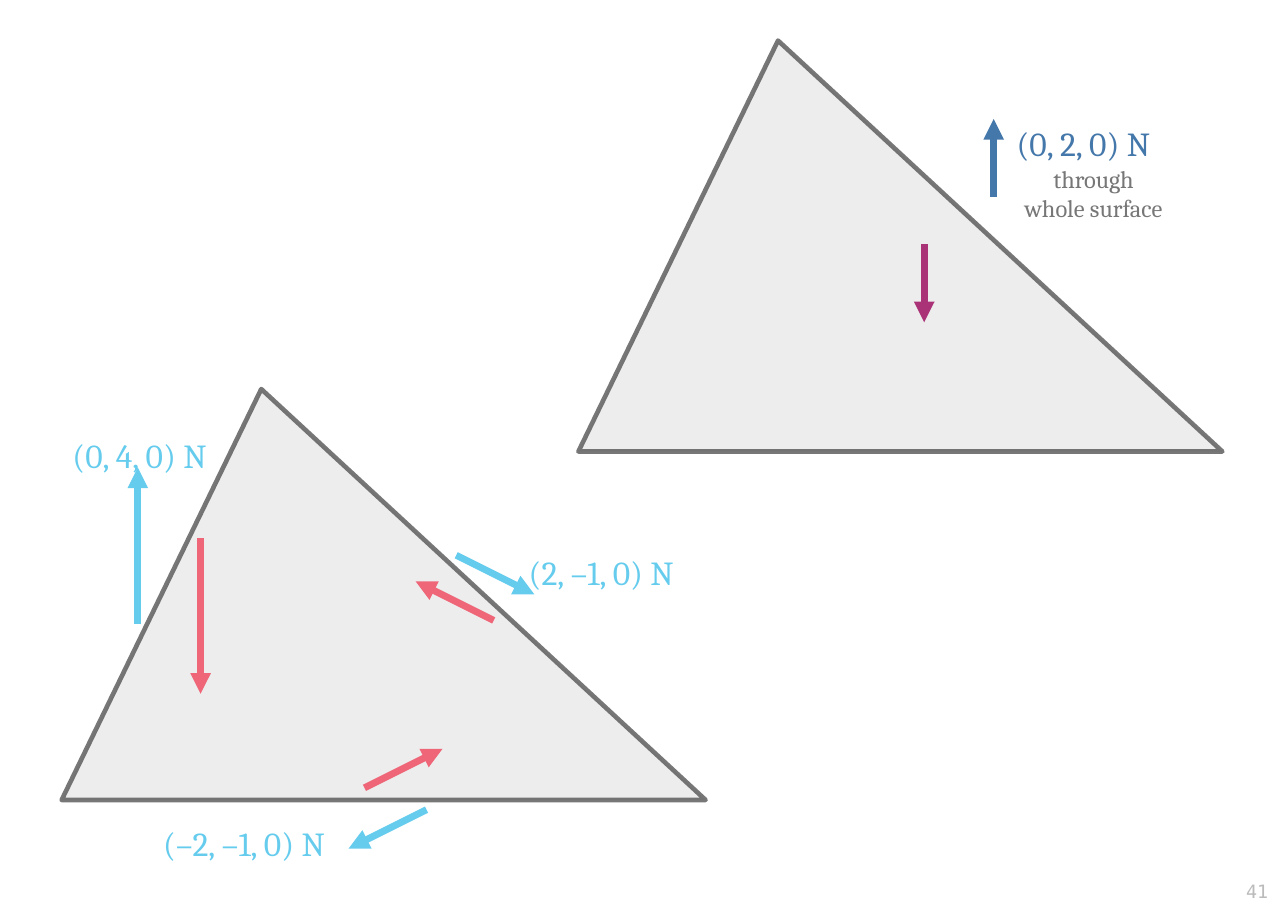
from lxml import etree
from pptx import Presentation, util as u
from pptx.dml.color import RGBColor
from pptx.enum import shapes, text
from pptx.oxml import ns

WIDTH, HEIGHT = u.Inches(11.69), u.Inches(8.27)
CELL = WIDTH / 33  # one grid cell is also the arrow length of 1 N
TRIANGLE_SIZE = (16.5, 10.53)
LABEL_HEIGHT = 1.47

SERIF, MONO = "Cambria", "DejaVu Sans Mono"
CYAN, RED, BLUE, PURPLE = "66CCEE", "EE6677", "4477AA", "AA3377"
EDGE, PALE, GREY = "555555", "BBBBBB", "777777"


def cells(*counts):
    return [round(count * CELL) for count in counts]


def paint(color_format, color):
    color_format.rgb = RGBColor.from_string(color)


def add_child(parent, tag, **attributes):
    return etree.SubElement(parent, ns.qn(tag), **attributes)


def set_alpha(properties, percent):
    color = properties.find(ns.qn("a:solidFill")).find(ns.qn("a:srgbClr"))
    add_child(color, "a:alpha", val=str(percent * 1000))


def add_triangle(slide, left, top):
    shape = slide.shapes.add_shape(
        shapes.MSO_SHAPE.ISOSCELES_TRIANGLE, *cells(left, top, *TRIANGLE_SIZE))
    shape.adjustments[0] = 0.31
    shape.shadow.inherit = False
    shape.fill.solid()
    paint(shape.fill.fore_color, PALE)
    set_alpha(shape._element.spPr, 25)
    shape.line.width = u.Pt(3)
    paint(shape.line.color, EDGE)
    outline = shape.line._get_or_add_ln()
    set_alpha(outline, 80)
    add_child(outline, "a:round")


def add_force(slide, left, top, force, color):
    """Draw a force in newtons as an arrow that starts at the given grid point."""
    x, y = force
    connector = slide.shapes.add_connector(
        shapes.MSO_CONNECTOR.STRAIGHT, *cells(left, top, left + x, top - y))
    connector.line.width = u.Pt(4.5)
    paint(connector.line.color, color)
    add_child(connector.line._get_or_add_ln(), "a:tailEnd", type="triangle")
    add_child(connector._element.spPr, "a:effectLst")


def add_text(slide, box, content, size, color, font=SERIF,
             align=text.PP_ALIGN.LEFT, wrap=False):
    text_frame = slide.shapes.add_textbox(*cells(*box)).text_frame
    text_frame.word_wrap = wrap
    text_frame.text = content
    for paragraph in text_frame.paragraphs:
        paragraph.alignment = align
        for run in paragraph.runs:
            run.font.name = font
            run.font.size = u.Pt(size)
            paint(run.font.color, color)


def add_force_label(slide, left, top, width, force, color):
    x, y = force
    content = f"({x}, {y}, 0) N".replace("-", "–")
    add_text(slide, (left, top, width, LABEL_HEIGHT), content, 22, color)


def add_edge_forces(slide, left, top):
    """Triangle with the forces through each edge and their reactions."""
    add_triangle(slide, left, top)
    # force, arrow start, reaction start, label left, top and width
    edges = [
        ((0, 4), (1.95, 6.01), (3.56, 3.81), (0, 1.04, 4.35)),
        ((2, -1), (10.11, 4.26), (11.07, 5.93), (11.69, 4.04, 4.77)),
        ((-2, -1), (9.35, 10.78), (7.76, 10.22), (2.32, 10.98, 5.19)),
    ]
    for (x, y), outer, inner, (label_x, label_y, label_width) in edges:
        add_force(slide, left + outer[0], top + outer[1], (x, y), CYAN)
        add_force(slide, left + inner[0], top + inner[1], (-x, -y), RED)
        add_force_label(slide, left + label_x, top + label_y, label_width,
                        (x, y), CYAN)


def add_total_force(slide, left, top):
    """Triangle with the force through the whole surface and its reaction."""
    add_triangle(slide, left, top)
    add_force(slide, left + 10.64, top + 4.01, (0, 2), BLUE)
    add_force_label(slide, left + 10.95, top + 1.98, 4.35, (0, 2), BLUE)
    add_force(slide, left + 8.86, top + 5.22, (0, -2), PURPLE)
    add_text(slide, (left + 10.87, top + 3.02, 4.66, 1.98),
             "through\nwhole surface", 16, GREY, align=text.PP_ALIGN.CENTER)


def add_page_number(slide, left, top):
    add_text(slide, (left, top, 2.82, 0.82), "41", 12, PALE, MONO,
             text.PP_ALIGN.RIGHT, wrap=True)


def main():
    presentation = Presentation()
    presentation.slide_width, presentation.slide_height = WIDTH, HEIGHT
    slide = presentation.slides.add_slide(presentation.slide_layouts[6])
    add_page_number(slide, 29.95, 22.42)
    add_edge_forces(slide, 1.58, 9.97)
    add_total_force(slide, 14.82, 1.04)
    presentation.save("out.pptx")


if __name__ == "__main__":
    main()
